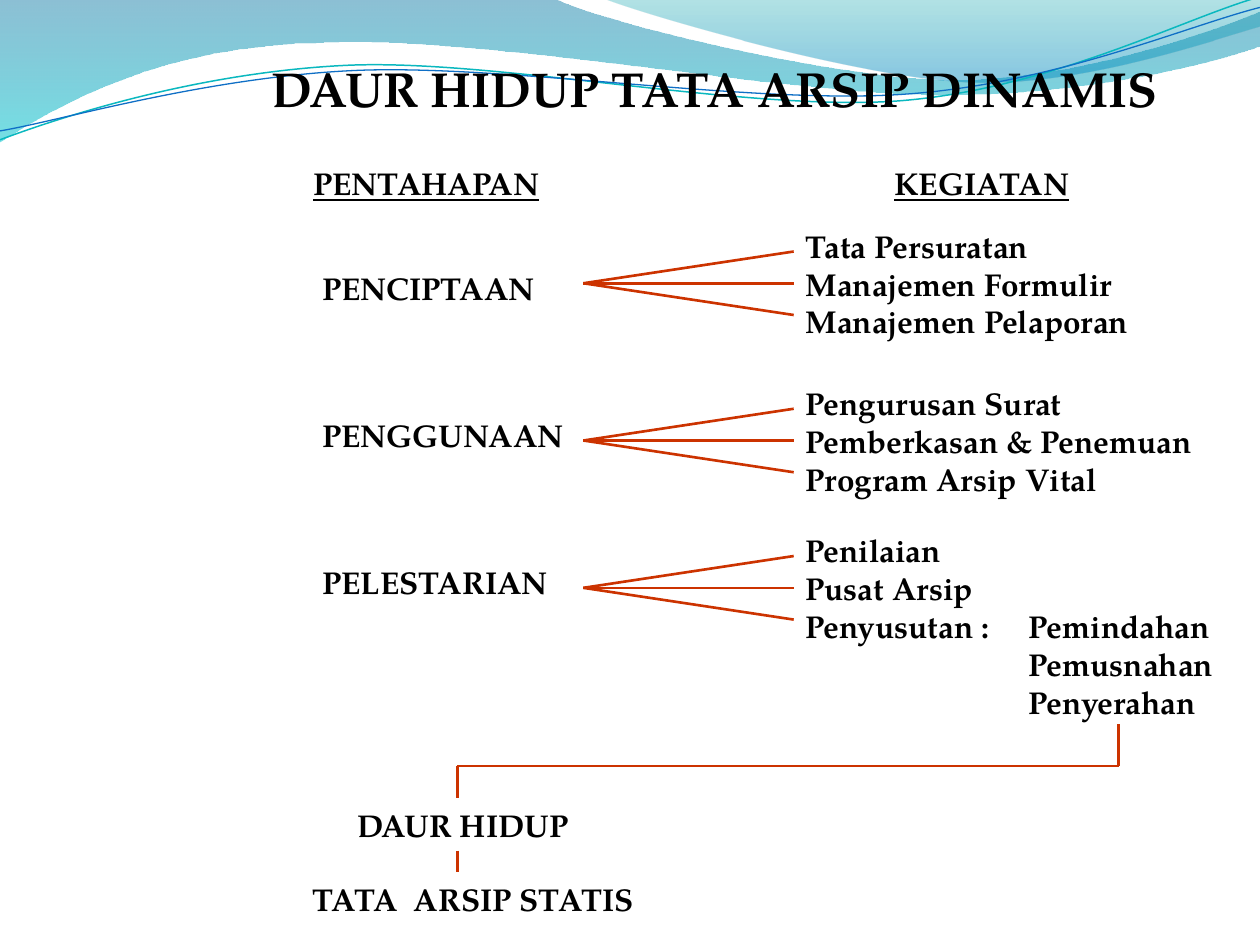
from lxml.etree import Element, SubElement
from pptx import Presentation
from pptx.dml.color import RGBColor
from pptx.enum.shapes import MSO_CONNECTOR
from pptx.enum.text import MSO_ANCHOR, MSO_AUTO_SIZE, PP_ALIGN
from pptx.oxml.ns import qn
from pptx.util import Cm, Pt

FONT = "TeX Gyre Pagella"
COLORS = {
    "text": "000000",
    "branch": "CC3300",
    "deep": "0074A1",
    "aqua": "00C6CF",
    "teal": "00A1A9",
    "sky": "008BBF",
    "crest": "0AB8BF",
    "ripple": "0F6FC6",
}
BANDS = [
    ((0, -0.03),
     [[(11.18, -0.03)],
      [(12.09, 0.43), (16.87, 1.6), (19.25, 1.6)],
      [(21.67, 1.6), (24.33, 0.66), (25.4, 0.23)],
      [(25.43, 0.91)],
      [(24.97, 1.12), (22.1, 1.93), (18.95, 1.91)],
      [(15.8, 1.91), (9.7, 0.71), (6.53, 0.86)],
      [(3.28, 0.89), (1.17, 2.11), (-0.03, 2.87)]],
     [(0, "deep", 45), (1, "aqua", 55)]),
    ((12.17, -0.03),
     [[(12.93, 0.28), (17.32, 1.57), (19.53, 1.65)],
      [(21.74, 1.75), (24.41, 0.81), (25.4, 0.53)],
      [(25.4, 0)]],
     [(0, "teal", 30), (0.8, "sky", 45)]),
]
RIPPLES = [
    ((-0.05, 2.22),
     [[(1.19, 1.82), (4.01, 1.04), (7.06, 1.05)],
      [(10.06, 1.07), (15.01, 2.37), (18.08, 2.29)],
      [(21.13, 2.2), (23.88, 0.91), (25.4, 0.55)]],
     "crest", 0.85),
    ((-0.04, 2.04),
     [[(1.16, 1.9), (4.17, 1.15), (7.2, 1.16)],
      [(10.25, 1.18), (15.13, 2.23), (18.19, 2.16)],
      [(21.22, 2.1), (23.93, 1.06), (25.45, 0.75)]],
     "ripple", 0.75),
]
STAGES = [
    (4.45, 0.84, "PENCIPTAAN",
     ["Tata Persuratan", "Manajemen Formulir", "Manajemen Pelaporan"]),
    (7.62, 0.64, "PENGGUNAAN",
     ["Pengurusan Surat", "Pemberkasan & Penemuan", "Program Arsip Vital"]),
    (10.59, 0.64, "PELESTARIAN",
     ["Penilaian", "Pusat Arsip", "Penyusutan :\tPemindahan",
      "\tPemusnahan", "\tPenyerahan"]),
]


def color(name):
    return RGBColor.from_string(COLORS[name])


def add_outline(page, start, segments, close):
    builder = page.shapes.build_freeform(*map(Cm, start))
    points = [(Cm(x), Cm(y)) for segment in segments for x, y in segment]
    builder.add_line_segments(points, close=close)
    shape = builder.convert_to_shape()
    shape.shadow.inherit = False
    edges = iter(list(shape.element.spPr.iter(qn("a:lnTo"))))
    for segment in segments:
        parts = [next(edges) for _ in segment]
        if len(parts) == 3:
            curve = Element(qn("a:cubicBezTo"))
            parts[0].addprevious(curve)
            for part in parts:
                curve.append(part[0])
                part.getparent().remove(part)
    return shape


def add_waves(page):
    for start, segments, stops in BANDS:
        band = add_outline(page, start, segments, True)
        band.line.fill.background()
        band.fill.gradient()
        band.fill.gradient_angle = 270
        for stop, (position, name, _) in zip(band.fill.gradient_stops, stops):
            stop.position = position
            stop.color.rgb = color(name)
        tints = list(band.element.spPr.iter(qn("a:srgbClr")))
        for tint, (_, _, opacity) in zip(tints, stops):
            SubElement(tint, qn("a:alpha"), val=str(opacity * 1000))
    for start, segments, name, width in RIPPLES:
        ripple = add_outline(page, start, segments, False)
        ripple.rotation = 357.3
        ripple.fill.background()
        ripple.line.color.rgb = color(name)
        ripple.line.width = Pt(width)


def format_text(frame, size, align, underline=None):
    frame.word_wrap = True
    frame.vertical_anchor = MSO_ANCHOR.TOP
    for para in frame.paragraphs:
        para.alignment = align
        for span in para.runs:
            span.font.name = FONT
            span.font.size = Pt(size)
            span.font.bold = True
            span.font.underline = underline
            span.font.color.rgb = color("text")


def add_text(page, left, top, width, height, text, align=PP_ALIGN.LEFT, underline=None):
    box = page.shapes.add_textbox(Cm(left), Cm(top), Cm(width), Cm(height))
    box.text_frame.text = text
    box.text_frame.auto_size = MSO_AUTO_SIZE.SHAPE_TO_FIT_TEXT
    format_text(box.text_frame, 18, align, underline)
    return box


def add_line(page, x1, y1, x2, y2):
    line = page.shapes.add_connector(
        MSO_CONNECTOR.STRAIGHT, Cm(x1), Cm(y1), Cm(x2), Cm(y2))
    line.line.color.rgb = color("branch")
    line.line.width = Pt(1.5)
    SubElement(line.element.spPr, qn("a:effectLst"))


def add_title(page, left, top, width, height):
    title = page.shapes.title
    title.left, title.top, title.width, title.height = map(Cm, (left, top, width, height))
    title.text_frame.text = "DAUR HIDUP TATA ARSIP DINAMIS"
    title.text_frame.auto_size = MSO_AUTO_SIZE.NONE
    format_text(title.text_frame, 28, PP_ALIGN.CENTER)
    page.shapes.element.append(title.element)


def add_headings(page, left, top):
    for offset, text in ((0, "PENTAHAPAN"), (11.2, "KEGIATAN")):
        add_text(page, left + offset, top, 8.05, 1.02, text, PP_ALIGN.CENTER, True)


def add_stage(page, left, top, label_offset, label, activities):
    add_text(page, left, top + label_offset, 6.99, 1.02, label)
    box = add_text(page, left + 9.74, top, 9.09, 0.25 + 0.77 * len(activities),
                   "\n".join(activities))
    for para in box.text_frame.paragraphs:
        if "\t" in para.text:
            properties = para._p.get_or_add_pPr()
            tabs = SubElement(properties, qn("a:tabLst"))
            SubElement(tabs, qn("a:tab"), pos=str(Cm(4.5)), algn="l")
    hub = top + 1.26
    for rise in (-0.64, 0, 0.64):
        add_line(page, left + 5.51, hub, left + 9.75, hub + rise)


def add_static_cycle(page, left, top):
    stem, source, rail = left + 3.38, left + 16.71, top + 0.84
    add_line(page, source, top, source, rail)
    add_line(page, source, rail, stem, rail)
    add_line(page, stem, rail, stem, top + 1.48)
    add_text(page, left, top + 1.53, 6.99, 1.02, "DAUR HIDUP", PP_ALIGN.CENTER)
    add_line(page, stem, top + 2.55, stem, top + 2.98)
    add_text(page, left + 0.2, top + 3.01, 6.99, 1.02, "TATA  ARSIP STATIS", PP_ALIGN.CENTER)


def main():
    deck = Presentation()
    deck.slide_width, deck.slide_height = Cm(25.4), Cm(19.05)
    page = deck.slides.add_slide(deck.slide_layouts[5])
    add_waves(page)
    add_title(page, 4.99, 1.05, 18.82, 1.45)
    add_headings(page, 4.57, 3.18)
    for stage in STAGES:
        add_stage(page, 6.25, *stage)
    add_static_cycle(page, 5.84, 14.6)
    deck.save("out.pptx")


if __name__ == "__main__":
    main()
